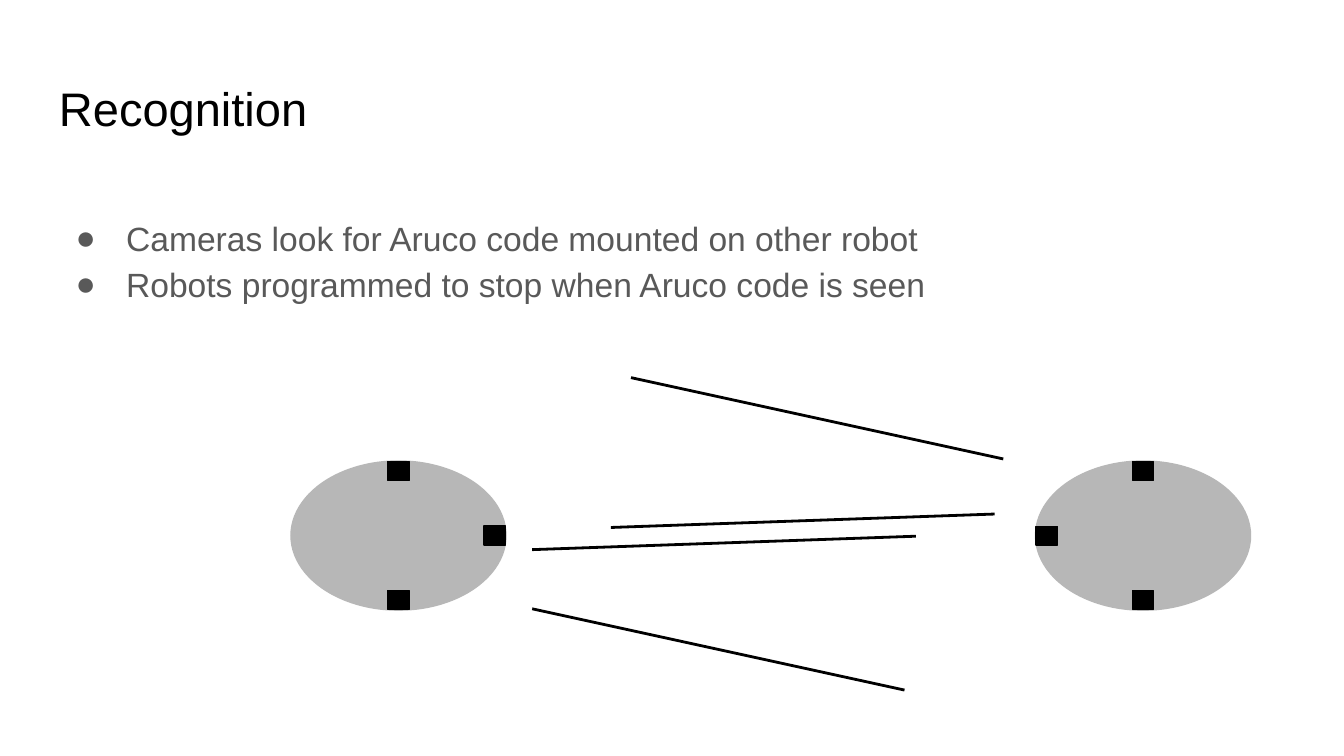
from dataclasses import dataclass
from typing import Any

import pptx
import pptx.dml.color
import pptx.enum.shapes
import pptx.enum.text
import pptx.oxml
import pptx.oxml.ns
import pptx.util

SCALE = 4572
COLOURS = {"background": "FFFFFF", "title": "000000", "body": "595959",
           "robot": "B7B7B7", "camera": "000000", "sight": "000000"}
ROBOT_SIZE = (222, 320)
CAMERA_SIZE = (28, 32)
CAMERA_SIDE = 96
CAMERA_FRONT = 143
KINDS = pptx.enum.shapes.MSO_SHAPE
ANCHORS = pptx.enum.text.MSO_ANCHOR


@dataclass(frozen=True)
class Robot:
    x: int
    y: int
    facing: int


@dataclass(frozen=True)
class Sightline:
    x1: int
    y1: int
    x2: int
    y2: int


@dataclass(frozen=True)
class TextBlock:
    box: tuple[int, int, int, int]
    lines: tuple[str, ...]
    size: float
    colour: str
    anchor: Any
    spacing: float = 1.0
    bulleted: bool = False


ROBOTS = (Robot(593, 797, 1), Robot(1701, 797, -1))
SIGHTLINES = (Sightline(792, 906, 1346, 1027), Sightline(939, 562, 1493, 683),
              Sightline(792, 818, 1363, 798), Sightline(909, 785, 1480, 765))
TEXTS = (
    TextBlock((68, 295, 1864, 748),
              ("Cameras look for Aruco code mounted on other robot",
               "Robots programmed to stop when Aruco code is seen"),
              18, "body", ANCHORS.TOP, 1.15, True),
    TextBlock((68, 97, 1864, 126), ("Recognition",), 25.2, "title", ANCHORS.MIDDLE),
)


def px(length: int) -> int:
    return length * SCALE


def colour(name: str) -> pptx.dml.color.RGBColor:
    return pptx.dml.color.RGBColor.from_string(COLOURS[name])


def apply(target: Any, values: dict[str, Any]) -> None:
    for name, value in values.items():
        setattr(target, name, value)


def add_bullet(paragraph: Any) -> None:
    properties = paragraph._p.get_or_add_pPr()
    properties.set("marL", str(px(100)))
    properties.set("indent", str(px(-75)))
    namespace = pptx.oxml.ns.nsdecls("a")
    for xml in (f'<a:buClr {namespace}><a:srgbClr val="{COLOURS["body"]}"/></a:buClr>',
                f'<a:buFont {namespace} typeface="Arial"/>',
                f'<a:buChar {namespace} char="●"/>'):
        properties.append(pptx.oxml.parse_xml(xml))


def draw_text(slide: Any, block: TextBlock) -> None:
    frame = slide.shapes.add_textbox(*map(px, block.box)).text_frame
    margins = {f"margin_{side}": px(20) for side in ("left", "top", "right", "bottom")}
    apply(frame, {"word_wrap": True, "vertical_anchor": block.anchor, **margins})
    for index, line in enumerate(block.lines):
        paragraph = frame.add_paragraph() if index else frame.paragraphs[0]
        if block.bulleted:
            add_bullet(paragraph)
        paragraph.line_spacing = block.spacing
        run = paragraph.add_run()
        run.text = line
        apply(run.font, {"name": "Arial", "size": pptx.util.Pt(block.size)})
        run.font.color.rgb = colour(block.colour)


def draw_part(group: Any, kind: Any, centre: tuple[int, int], size: tuple[int, int],
              part: str, rotation: int) -> None:
    (x, y), (width, height) = centre, size
    shape = group.shapes.add_shape(kind, px(x - width // 2), px(y - height // 2),
                                   px(width), px(height))
    shape.rotation = rotation
    shape.shadow.inherit = False
    shape.fill.solid()
    shape.fill.fore_color.rgb = colour(part)
    shape.line.color.rgb = colour(part)
    shape.line.width = pptx.util.Pt(0.75)


def draw_robot(slide: Any, robot: Robot) -> None:
    group = slide.shapes.add_group_shape()
    rotation = 90 if robot.facing > 0 else 270
    draw_part(group, KINDS.OVAL, (robot.x, robot.y), ROBOT_SIZE, "robot", rotation)
    for dx, dy in ((0, CAMERA_SIDE), (CAMERA_FRONT, 0), (0, -CAMERA_SIDE)):
        centre = (robot.x + robot.facing * dx, robot.y + robot.facing * dy)
        draw_part(group, KINDS.RECTANGLE, centre, CAMERA_SIZE, "camera", rotation)


def draw_sightline(group: Any, sight: Sightline) -> None:
    connector = group.shapes.add_connector(
        pptx.enum.shapes.MSO_CONNECTOR.STRAIGHT,
        px(sight.x1), px(sight.y1), px(sight.x2), px(sight.y2))
    connector.line.color.rgb = colour("sight")
    connector.line.width = pptx.util.Pt(1.5)
    connector._element.spPr.append(pptx.oxml.parse_xml(
        f'<a:effectLst {pptx.oxml.ns.nsdecls("a")}/>'))


def main() -> None:
    presentation = pptx.Presentation()
    apply(presentation, {"slide_width": px(2000), "slide_height": px(1125)})
    slide = presentation.slides.add_slide(presentation.slide_layouts[6])
    slide.background.fill.solid()
    slide.background.fill.fore_color.rgb = colour("background")
    for block in TEXTS:
        draw_text(slide, block)
    for robot in ROBOTS:
        draw_robot(slide, robot)
    sight_group = slide.shapes.add_group_shape()
    for sight in SIGHTLINES:
        draw_sightline(sight_group, sight)
    presentation.save("out.pptx")


if __name__ == "__main__":
    main()
